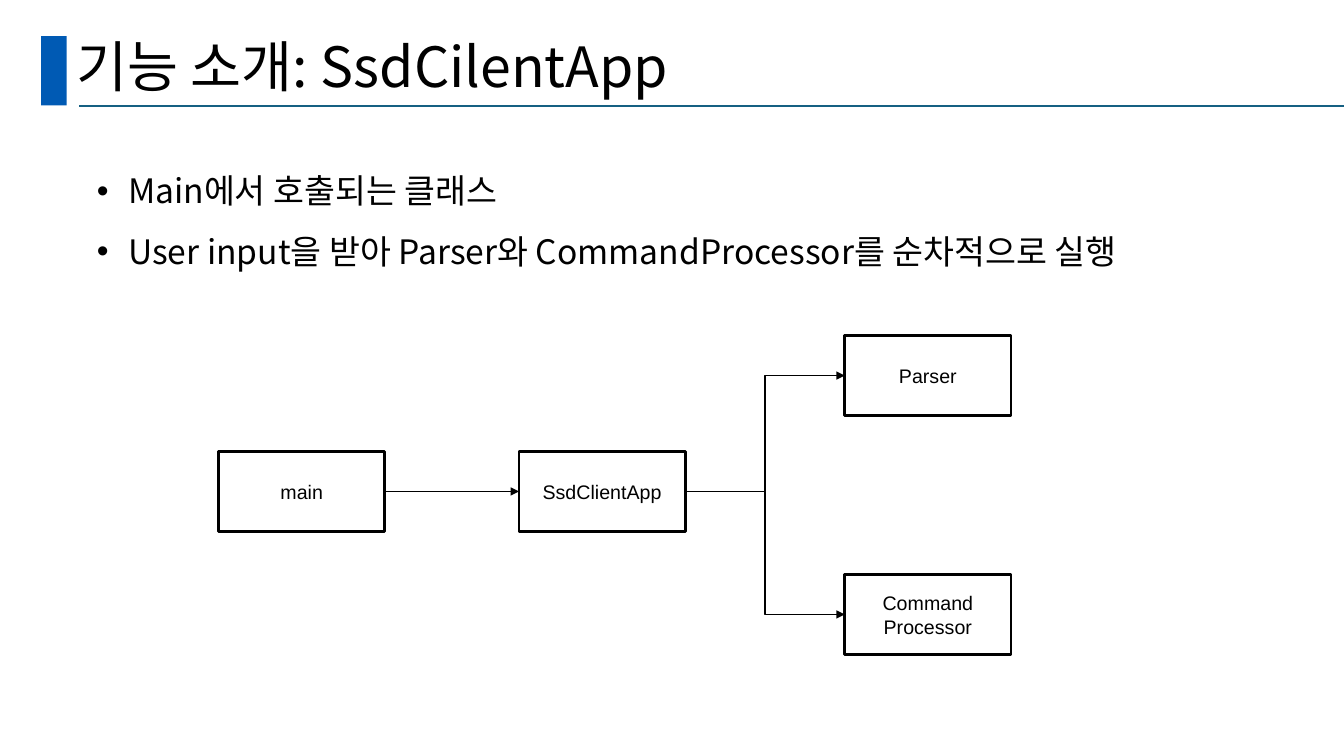
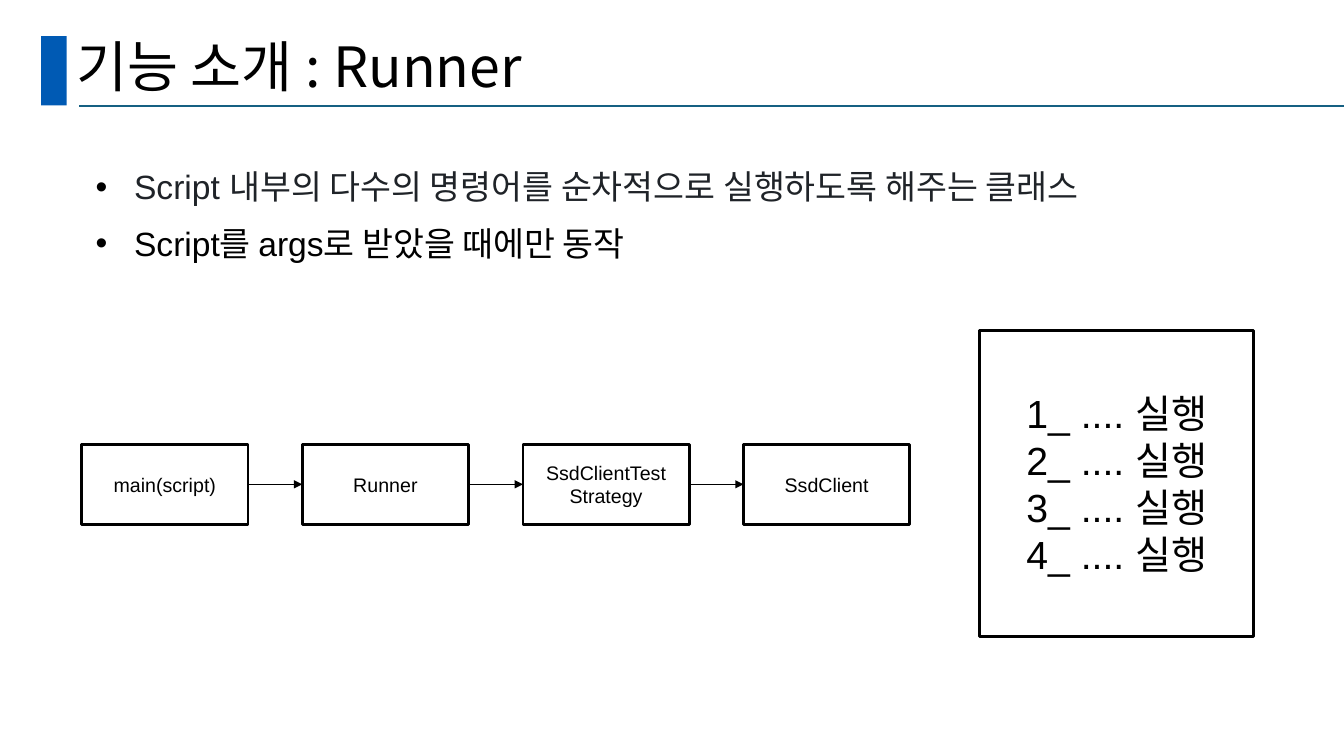
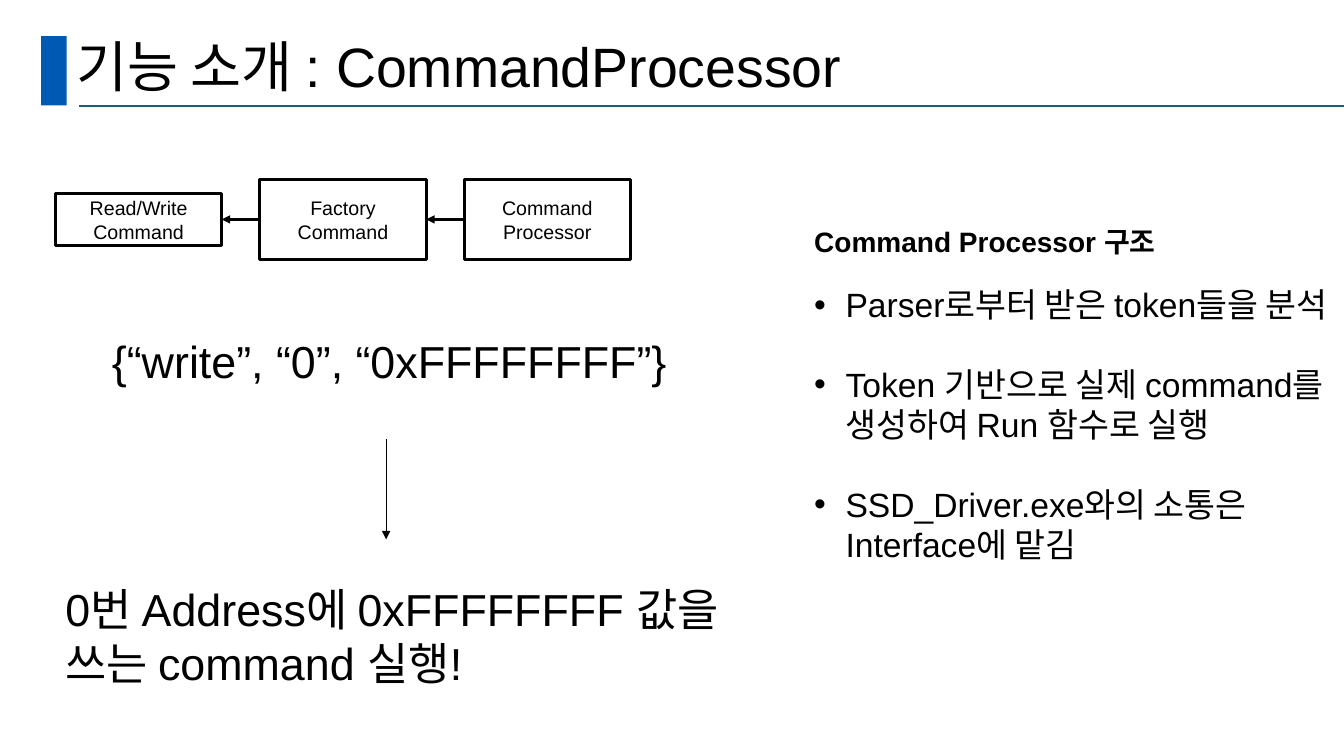
from pptx import Presentation
from pptx.dml.color import RGBColor as Rgb
from pptx.enum.shapes import MSO_CONNECTOR as Conn, MSO_SHAPE as Form
from pptx.enum.text import MSO_ANCHOR as Anchor, PP_ALIGN as Align
from pptx.oxml.ns import qn
from pptx.util import Cm, Pt
from lxml.etree import SubElement as Sub


class Theme:
    black = Rgb(0, 0, 0)
    ink = Rgb(0x1F, 0x23, 0x28)
    bar = Rgb(0x00, 0x5A, 0xB4)
    rule = Rgb(0x15, 0x60, 0x82)
    sans = "Arial"
    hangul = "Noto Sans CJK KR"
    title, large, list, body, head, label = 39.6, 32, 28, 24, 20, 14
    thin, mid, bold = 0.75, 1.5, 2


def text(page, area, lines, size=Theme.label, font=Theme.sans, frame=False,
         align=Align.LEFT, anchor=Anchor.TOP, pitch=None, dent=None):
    area = [Cm(v) for v in area]
    if frame:
        box = page.shapes.add_shape(Form.RECTANGLE, *area)
        box.shadow.inherit = False
        box.fill.background()
        box.line.color.rgb = Theme.black
        box.line.width = Pt(Theme.bold)
        align, anchor = Align.CENTER, Anchor.MIDDLE
    else:
        box = page.shapes.add_textbox(*area)
    body = box.text_frame
    body.word_wrap = True
    body.vertical_anchor = anchor
    for i, line in enumerate(lines):
        para = body.paragraphs[0] if i == 0 else body.add_paragraph()
        line = {"runs": line} if isinstance(line, str) else line
        para.alignment = align
        if pitch:
            para.line_spacing = pitch
        if "gap" in line:
            para.space_before = Pt(line["gap"])
        if dent and line.get("dot", True):
            prop = para._p.get_or_add_pPr()
            prop.set("marL", str(Cm(dent[0])))
            prop.set("indent", str(-Cm(dent[1])))
            tint = Sub(Sub(prop, qn("a:buClr")), qn("a:srgbClr"))
            tint.set("val", str(Theme.black))
            Sub(prop, qn("a:buFont")).set("typeface", Theme.sans)
            Sub(prop, qn("a:buChar")).set("char", "•")
        runs = line["runs"]
        for words, face in [(runs, font)] if isinstance(runs, str) else runs:
            run = para.add_run()
            run.text = words
            run.font.name = face
            run.font.size = Pt(line.get("size", size))
            run.font.bold = line.get("bold", False)
            run.font.color.rgb = line.get("color", Theme.black)
    return box


def link(page, ends=(0, 0, 0, 0), pair=None, sides=(3, 1), kind=Conn.STRAIGHT,
         color=Theme.black, width=Theme.thin, head=True):
    line = page.shapes.add_connector(kind, *[Cm(v) for v in ends])
    if pair:
        line.begin_connect(pair[0], sides[0])
        line.end_connect(pair[1], sides[1])
    line.line.color.rgb = color
    line.line.width = Pt(width)
    if head:
        Sub(line.line._get_or_add_ln(), qn("a:tailEnd")).set("type", "triangle")
    Sub(line._element.spPr, qn("a:effectLst"))


deck = Presentation()
deck.slide_width, deck.slide_height = Cm(33.87), Cm(19.05)
wide, high = 4.19, 2.01

titles = [
    [("기능 소개: SsdCilentApp", Theme.hangul)],
    [("기능 소개 : Runner", Theme.hangul)],
    [("기능 소개 ", Theme.hangul), (": CommandProcessor", Theme.sans)],
]
pages = []
for title in titles:
    page = deck.slides.add_slide(deck.slide_layouts[6])
    bar = page.shapes.add_shape(Form.RECTANGLE, Cm(1.04), Cm(0.91), Cm(0.64), Cm(1.75))
    bar.shadow.inherit = False
    bar.fill.solid()
    bar.fill.fore_color.rgb = Theme.bar
    bar.line.fill.background()
    link(page, (2, 2.67, 33.87, 2.67), color=Theme.rule, width=Theme.mid, head=False)
    text(page, (1.68, 0.86, 31.62, 1.8), [{"runs": title}],
         size=Theme.title, anchor=Anchor.MIDDLE, pitch=0.9)
    pages.append(page)
client, runner, command = pages

text(client, (1.68, 3.66, 29.21, 4.37),
     ["Main에서 호출되는 클래스",
      "User input을 받아 Parser와 CommandProcessor를 순차적으로 실행"],
     size=Theme.body, font=Theme.hangul, pitch=1.5, dent=(1.3, 0.79))
main, app, parser, proc = [
    text(client, (x, y, wide, high), lines, frame=True)
    for x, y, lines in [
        (5.51, 11.38, ["main"]),
        (13.08, 11.38, ["SsdClientApp"]),
        (21.29, 8.46, ["Parser"]),
        (21.29, 14.48, ["Command", "Processor"]),
    ]
]
link(client, pair=(main, app))
for goal in (parser, proc):
    link(client, pair=(app, goal), kind=Conn.ELBOW)

text(runner, (1.68, 3.66, 29.21, 3.2),
     [{"runs": "Script 내부의 다수의 명령어를 순차적으로 실행하도록 해주는 클래스",
       "color": Theme.ink},
      "Script를 args로 받았을 때에만 동작"],
     size=Theme.body, pitch=1.4, dent=(1.45, 0.97))
text(runner, (24.69, 8.33, 6.91, 7.72),
     [f"{n}_ .... 실행" for n in range(1, 5)], size=Theme.list, frame=True)
names = [["main(script)"], ["Runner"], ["SsdClientTest", "Strategy"], ["SsdClient"]]
steps = [text(runner, (2.06 + 5.56 * i, 11.2, wide, high), name, frame=True)
         for i, name in enumerate(names)]
for pair in zip(steps, steps[1:]):
    link(runner, pair=pair)

names = [("Read/Write Command", 1.3), ("Factory Command", high), ("Command Processor", high)]
steps = [text(command, (1.4 + 5.15 * i, 5.53 - tall / 2, wide, tall), [name], frame=True)
         for i, (name, tall) in enumerate(names)]
for pair in zip(steps[1:], steps):
    link(command, pair=pair, sides=(1, 3), width=Theme.bold)
text(command, (20.27, 5.54, 13.56, 11.02),
     [{"runs": "Command Processor 구조", "size": Theme.head, "bold": True, "dot": False},
      {"runs": "Parser로부터 받은 token들을 분석", "gap": 18.5},
      {"runs": "Token 기반으로 실제 command를 생성하여 Run 함수로 실행", "gap": 28},
      {"runs": "SSD_Driver.exe와의 소통은 Interface에 맡김", "gap": 28}],
     size=Theme.body, dent=(0.79, 0.79))
text(command, (2.57, 8.28, 14.6, 1.63), ["{“write”, “0”, “0xFFFFFFFF”}"], size=Theme.large)
link(command, (9.73, 11.05, 9.73, 13.59))
text(command, (1.4, 14.53, 17.58, 3),
     ["0번 Address에 0xFFFFFFFF 값을", "쓰는 command 실행!"], size=Theme.large)

deck.save("out.pptx")
